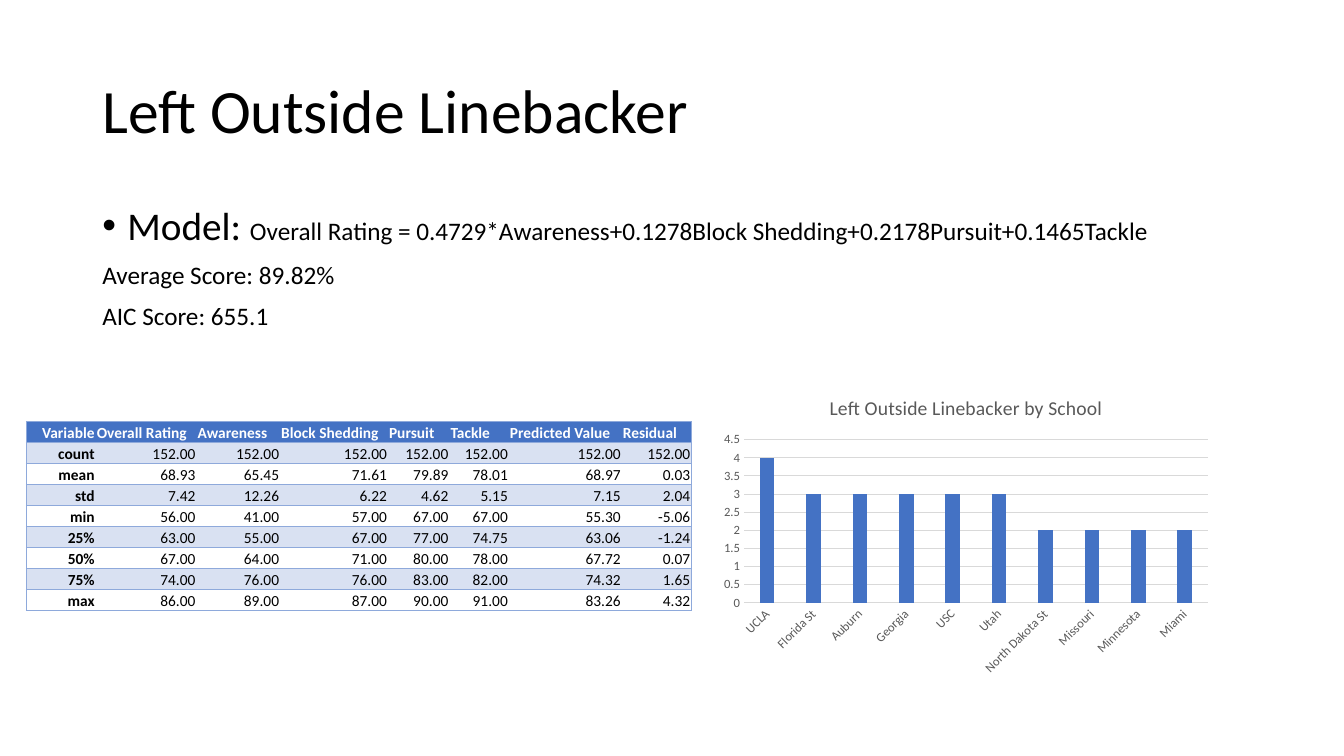
"""Build the Left Outside Linebacker slide: model text, summary table and school chart."""
from lxml import etree
from pptx import Presentation
from pptx.chart.data import CategoryChartData
from pptx.dml.color import RGBColor
from pptx.enum.chart import XL_CHART_TYPE, XL_TICK_MARK
from pptx.enum.text import MSO_ANCHOR, PP_ALIGN
from pptx.oxml.ns import qn
from pptx.util import Pt

COLUMN = XL_CHART_TYPE.COLUMN_CLUSTERED
NO_TICK = XL_TICK_MARK.NONE
MIDDLE, BOTTOM = MSO_ANCHOR.MIDDLE, MSO_ANCHOR.BOTTOM
LEFT, RIGHT = PP_ALIGN.LEFT, PP_ALIGN.RIGHT

THEME = {
    "face": "Calibri", "ink": "000000", "white": "FFFFFF", "blue": "4472C4",
    "band": "D9E1F2", "edge": "8EA9DB", "gray": "595959", "grid": "D9D9D9",
    "title": 44, "lead": 28, "body": 18, "cell": 11, "head": 14, "tick": 9,
}
COLS, ROWS = 160, 90

deck = Presentation()
deck.slide_width, deck.slide_height = Pt(COLS * 6), Pt(ROWS * 6)
UNIT = deck.slide_width // COLS
slide = deck.slides.add_slide(deck.slide_layouts[6])


def grid(*cells):
    """Turn grid counts into slide lengths."""
    return [round(cell * UNIT) for cell in cells]


def style(font, size, color, bold=False):
    """Set face, size, colour and weight from the theme."""
    font.name, font.size, font.bold = THEME["face"], Pt(THEME[size]), bold
    font.color.rgb = RGBColor.from_string(THEME[color])


title = slide.shapes.add_textbox(*grid(11, 4.8, 138, 17.4)).text_frame
title.word_wrap, title.vertical_anchor = True, MIDDLE
title.text = "Left Outside Linebacker"
title.paragraphs[0].line_spacing = 0.9
style(title.paragraphs[0].font, "title", "ink")

body = slide.shapes.add_textbox(*grid(11, 24, 138, 57.12)).text_frame
body.word_wrap = True
model = body.paragraphs[0]
props = model._p.get_or_add_pPr()
indent = grid(3)[0]
props.set("marL", str(indent))
props.set("indent", str(-indent))
etree.SubElement(props, qn("a:buFont")).set("typeface", "Arial")
etree.SubElement(props, qn("a:buChar")).set("char", "•")
model.line_spacing = 0.9
formula = "Overall Rating = 0.4729*Awareness+0.1278Block Shedding+0.2178Pursuit+0.1465Tackle"
for text, size in (("Model: ", "lead"), (formula, "body")):
    run = model.add_run()
    run.text = text
    style(run.font, size, "ink")
for text in ("Average Score: 89.82%", "AIC Score: 655.1"):
    score = body.add_paragraph()
    score.text = text
    score.line_spacing, score.space_before = 0.9, Pt(10)
    style(score.font, "body", "ink")

HEADS = ["Variable", "Overall Rating", "Awareness", "Block Shedding",
         "Pursuit", "Tackle", "Predicted Value", "Residual"]
STATS = [
    ("count", 152, 152, 152, 152, 152, 152, 152),
    ("mean", 68.93, 65.45, 71.61, 79.89, 78.01, 68.97, 0.03),
    ("std", 7.42, 12.26, 6.22, 4.62, 5.15, 7.15, 2.04),
    ("min", 56, 41, 57, 67, 67, 55.3, -5.06),
    ("25%", 63, 55, 67, 77, 74.75, 63.06, -1.24),
    ("50%", 67, 64, 71, 80, 78, 67.72, 0.07),
    ("75%", 74, 76, 76, 83, 82, 74.32, 1.65),
    ("max", 86, 89, 87, 90, 91, 83.26, 4.32),
]
WIDTHS = grid(8.28, 12, 9.96, 12.84, 7.32, 7.08, 13.44, 8.28)
lines = [HEADS] + [[row[0]] + [f"{num:.2f}" for num in row[1:]] for row in STATS]
last = len(HEADS) - 1
frame = slide.shapes.add_table(len(lines), len(HEADS), *grid(3.12, 50.16, 79.2, 22.5))
table = frame.table
for col, width in zip(table.columns, WIDTHS):
    col.width = width
for r, line in enumerate(lines):
    table.rows[r].height = grid(2.5)[0]
    for c, text in enumerate(line):
        cell = table.cell(r, c)
        cell.text = text
        cell.vertical_anchor = BOTTOM
        cell.margin_left = cell.margin_right = cell.margin_top = Pt(0.75)
        cell.margin_bottom = 0
        para = cell.text_frame.paragraphs[0]
        para.alignment = LEFT if r == 0 and c else RIGHT
        style(para.font, "cell", "ink" if r else "white", r == 0 or c == 0)
        box = cell._tc.get_or_add_tcPr()
        for side, shown in (("L", c == 0), ("R", c == last), ("T", True), ("B", True)):
            edge = etree.SubElement(box, qn(f"a:ln{side}"), w=str(Pt(0.5)))
            if shown:
                paint = etree.SubElement(edge, qn("a:solidFill"))
                etree.SubElement(paint, qn("a:srgbClr"), val=THEME["edge"])
            else:
                etree.SubElement(edge, qn("a:noFill"))
        if r == 0 or r % 2:
            cell.fill.solid()
            cell.fill.fore_color.rgb = RGBColor.from_string(THEME["band" if r else "blue"])
        else:
            cell.fill.background()

SCHOOLS = {"UCLA": 4, "Florida St": 3, "Auburn": 3, "Georgia": 3, "USC": 3, "Utah": 3,
           "North Dakota St": 2, "Missouri": 2, "Minnesota": 2, "Miami": 2}
data = CategoryChartData()
data.categories = list(SCHOOLS)
data.add_series("Series 1", list(SCHOOLS.values()))
chart = slide.shapes.add_chart(COLUMN, *grid(85, 45.12, 60, 36), data).chart
style(chart.font, "tick", "gray")
chart.has_legend = False
chart.has_title = True
chart.chart_title.include_in_layout = False
head = chart.chart_title.text_frame
head.text = "Left Outside Linebacker by School"
style(head.paragraphs[0].font, "head", "gray")
plot = chart.plots[0]
plot.gap_width, plot.overlap, plot.vary_by_categories = 219, -27, False
bars = plot.series[0].format.fill
bars.solid()
bars.fore_color.rgb = RGBColor.from_string(THEME["blue"])

schools, counts = chart.category_axis, chart.value_axis
for axis in (schools, counts):
    axis.major_tick_mark = axis.minor_tick_mark = NO_TICK
    style(axis.tick_labels.font, "tick", "gray")
schools._element.find(qn("c:txPr")).find(qn("a:bodyPr")).set("rot", "-2700000")
counts.minimum_scale, counts.maximum_scale, counts.major_unit = 0, 4.5, 0.5
counts.tick_labels.number_format = "General"
counts.tick_labels.number_format_is_linked = False
counts.format.line.fill.background()
counts.has_major_gridlines = True
for rule in (schools.format.line, counts.major_gridlines.format.line):
    rule.width = Pt(0.75)
    rule.color.rgb = RGBColor.from_string(THEME["grid"])

deck.save("out.pptx")
